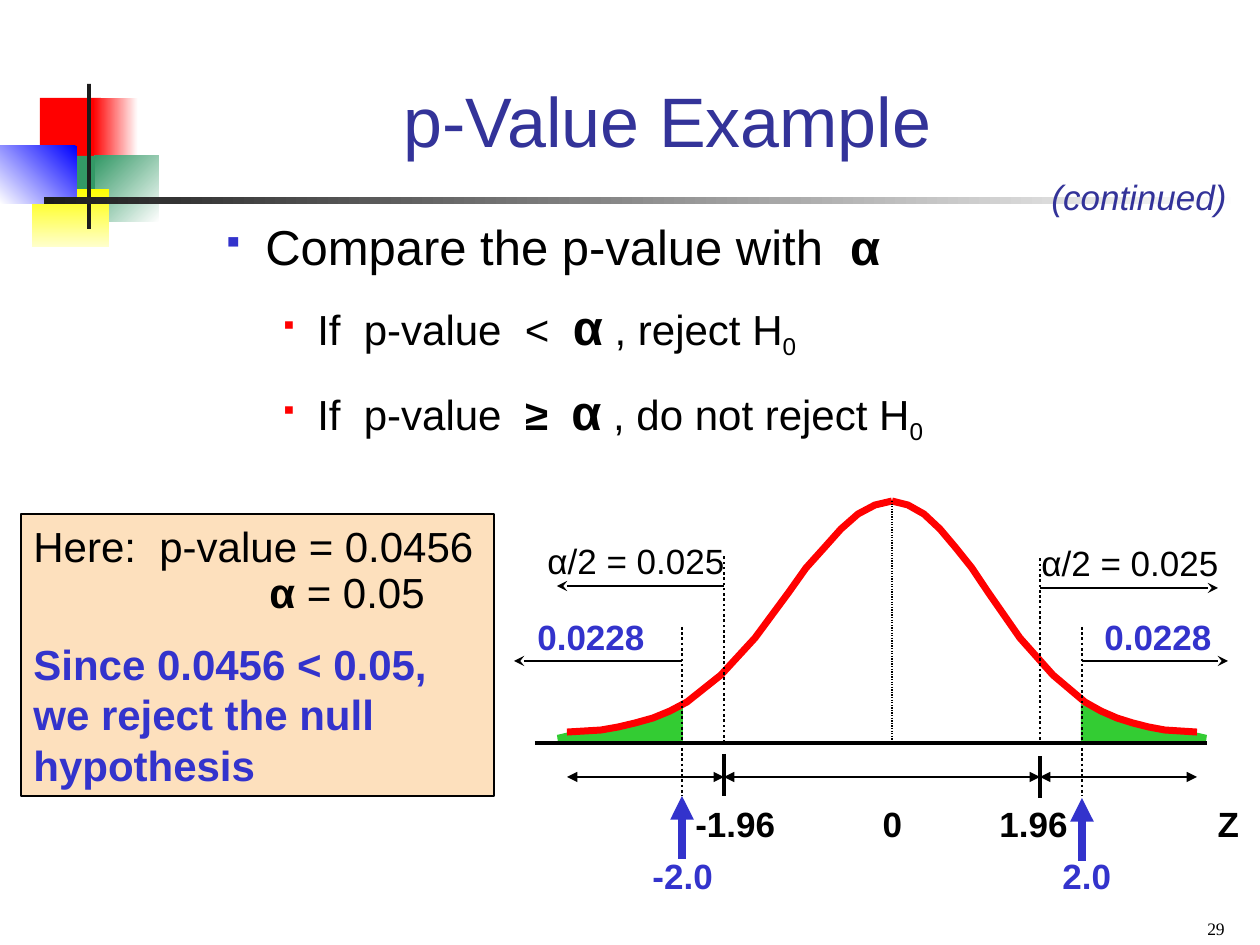
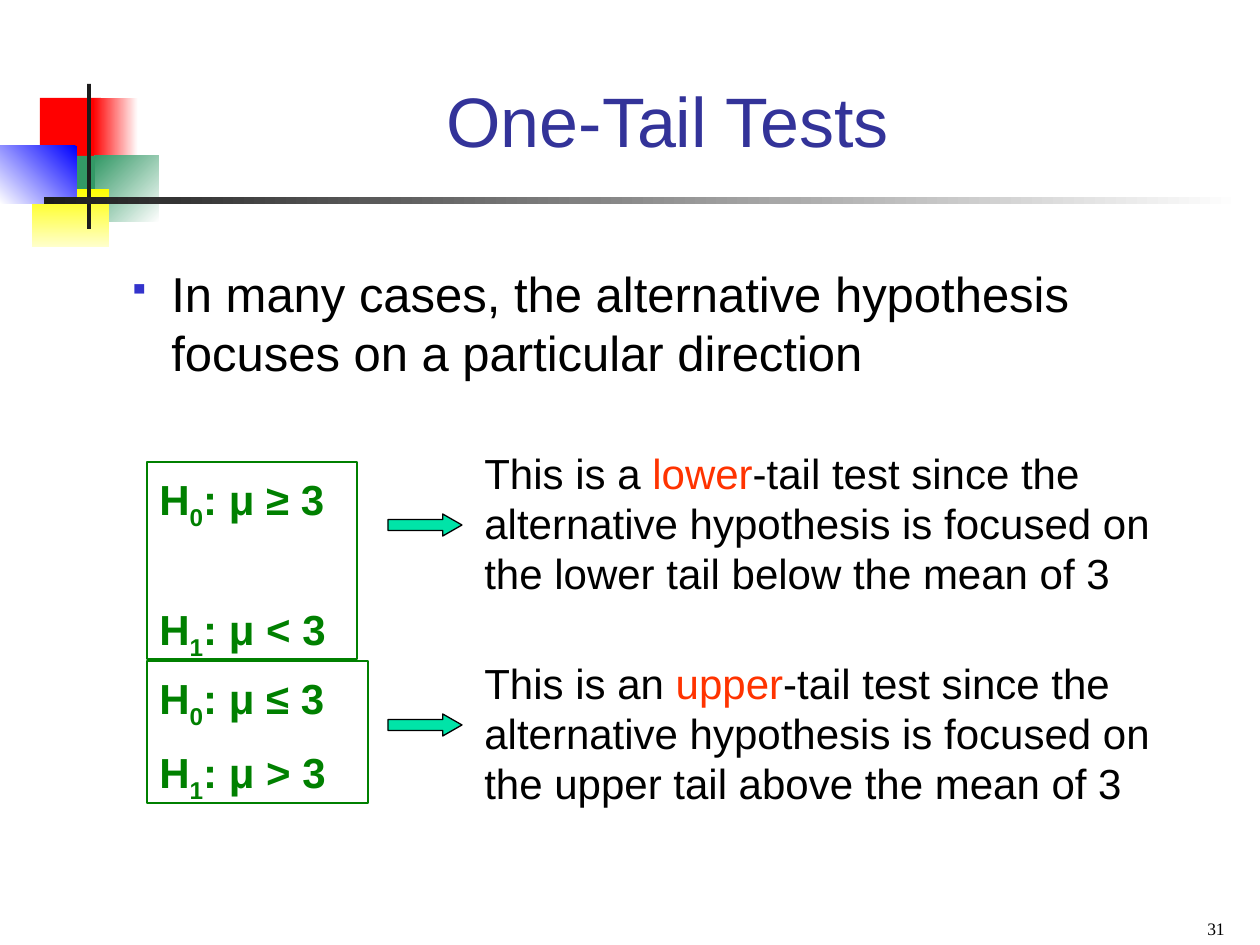
"""Build two statistics slides: a p-value example and one-tail tests."""
from lxml import etree
from pptx import Presentation
from pptx.dml.color import RGBColor
from pptx.enum.dml import MSO_LINE
from pptx.enum.shapes import MSO_CONNECTOR, MSO_SHAPE
from pptx.enum.text import MSO_ANCHOR, PP_ALIGN
from pptx.oxml.ns import qn
from pptx.util import Emu, Inches, Pt

PX = 914400 / 126
DOTTED = MSO_LINE.ROUND_DOT
STRAIGHT = MSO_CONNECTOR.STRAIGHT
RECTANGLE = MSO_SHAPE.RECTANGLE
RIGHT_ARROW = MSO_SHAPE.RIGHT_ARROW
BOTTOM = MSO_ANCHOR.BOTTOM
LEFT, CENTER, RIGHT = PP_ALIGN.LEFT, PP_ALIGN.CENTER, PP_ALIGN.RIGHT

COLORS = {
    "black": "000000", "white": "FFFFFF", "ink": "1C1C1C", "title": "333399",
    "blue": "3333CC", "red": "FF0000", "sea": "339966", "yellow": "FFFF00",
    "cream": "FFFFCC", "pure blue": "0000FF", "peach": "FDE0BD",
    "tail": "33CC33", "hypothesis": "008000", "direction": "FF3300",
    "arrow": "00E4A8",
}

ORNAMENT = [
    ((40, 98, 61, 66), ["red"], 0),
    ((93, 98, 45, 66), ["white", "red"], 180),
    ((95, 156, 64, 66), ["white", "sea"], 135),
    ((54, 156, 41, 66), ["sea"], 0),
    ((32, 189, 77, 58), ["yellow", "cream"], 270),
    ((0, 146, 77, 58), ["pure blue", "white"], 225),
    ((87, 84, 4, 145), ["ink"], 0),
    ((44, 197, 1198, 7), ["white", "ink"], 180),
]

BULLETS = [("blue", 60, 43, -43), ("red", 55, 95, -37)]

MIDDLE = 882
PEAK = 892
BASELINE = 743
CURVE = [(19, 732), (17, 730), (16, 727), (15, 723), (14, 718), (13, 711),
         (12, 702), (10, 675), (8, 638), (6, 592), (5, 568), (4, 548),
         (3, 529), (2, 514), (1, 505), (0, 501)]
TAIL = [(324, 742), (325, 735), (312, 732), (273, 731), (232, 719),
        (199, 704), (199, BASELINE), (324, BASELINE)]


def px(length):
    """Turn px into EMU."""
    return Emu(round(length * PX))


def color(name):
    """Look up a named colour."""
    return RGBColor.from_string(COLORS[name])


def add_bullet(paragraph, level):
    """Give a paragraph the square bullet of its level."""
    name, percent, margin, indent = BULLETS[level]
    paragraph.level = level
    properties = paragraph._p.get_or_add_pPr()
    properties.set("marL", str(px(margin)))
    properties.set("indent", str(px(indent)))
    tint = etree.SubElement(properties, qn("a:buClr"))
    etree.SubElement(tint, qn("a:srgbClr"), val=COLORS[name])
    etree.SubElement(properties, qn("a:buSzPct"), val=str(percent * 1000))
    etree.SubElement(properties, qn("a:buChar"), char="▪")


def write(frame, *runs, size=20, ink="black", bold=False, italic=False,
          font="Arial", align=LEFT, before=0, spacing=1.0, margin=0,
          level=None):
    """Write one paragraph of strings or (string, overrides) runs."""
    paragraph = frame.paragraphs[0]
    if paragraph.runs:
        paragraph = frame.add_paragraph()
    if level is not None:
        add_bullet(paragraph, level)
    elif margin:
        paragraph._p.get_or_add_pPr().set("marL", str(px(margin)))
    paragraph.alignment = align
    paragraph.line_spacing = spacing
    paragraph.space_before = Pt(before)
    for item in runs:
        words, changes = (item, {}) if isinstance(item, str) else item
        run = paragraph.add_run()
        run.text = words
        run.font.name = font
        run.font.size = Pt(changes.get("size", size))
        run.font.bold = changes.get("bold", bold)
        run.font.italic = italic
        run.font.color.rgb = color(changes.get("ink", ink))
        if changes.get("sub"):
            run.font._element.set("baseline", "-25000")


def add_box(slide, box, fill=None, outline=None, width=0.75):
    """Add a text box and return its text frame."""
    panel = slide.shapes.add_textbox(*map(px, box))
    if fill:
        panel.fill.solid()
        panel.fill.fore_color.rgb = color(fill)
    if outline:
        panel.line.color.rgb = color(outline)
        panel.line.width = Pt(width)
    panel.text_frame.word_wrap = True
    return panel.text_frame


def add_label(slide, box, words, **style):
    """Add a text box holding one paragraph."""
    write(add_box(slide, box), words, **style)


def add_line(slide, start, end, ink="black", width=1.5, dash=None,
             head=None, tail=None):
    """Add a straight line with optional dashes and arrowheads."""
    line = slide.shapes.add_connector(STRAIGHT, *map(px, start + end))
    line.line.color.rgb = color(ink)
    line.line.width = Pt(width)
    if dash:
        line.line.dash_style = dash
    properties = line._element.spPr
    stroke = properties.find(qn("a:ln"))
    for tag, kind in (("a:headEnd", head), ("a:tailEnd", tail)):
        if kind:
            etree.SubElement(stroke, qn(tag), type=kind)
    etree.SubElement(properties, qn("a:effectLst"))


def add_outline(slide, points, closed):
    """Add a freeform through the points, without a shadow."""
    builder = slide.shapes.build_freeform(*points[0], scale=PX)
    builder.add_line_segments(points[1:], close=closed)
    outline = builder.convert_to_shape()
    outline.shadow.inherit = False
    return outline


def add_ornament(slide):
    """Draw the coloured squares and the two bars."""
    for box, tones, angle in ORNAMENT:
        block = slide.shapes.add_shape(RECTANGLE, *map(px, box))
        block.shadow.inherit = False
        block.line.fill.background()
        if len(tones) == 1:
            block.fill.solid()
            block.fill.fore_color.rgb = color(tones[0])
            continue
        block.fill.gradient()
        block.fill.gradient_angle = angle
        for stop, tone in zip(block.fill.gradient_stops, tones):
            stop.color.rgb = color(tone)


def start_slide(deck, heading, number):
    """Add a slide with ornament, title and page number."""
    slide = deck.slides.add_slide(deck.slide_layouts[5])
    add_ornament(slide)
    title = slide.shapes.title
    title.left, title.top, title.width, title.height = map(
        px, (159, 32, 1017, 136))
    title.text_frame.vertical_anchor = BOTTOM
    write(title.text_frame, heading, size=40, ink="title", align=CENTER)
    page = add_box(slide, (942, 901, 295, 44))
    page.vertical_anchor = BOTTOM
    write(page, number, size=10, font="Times New Roman", align=RIGHT)
    return slide


def add_bell(slide):
    """Draw the shaded tails, the normal curve and its axis."""
    for side in (-1, 1):
        shade = add_outline(
            slide, [(MIDDLE + side * x, y) for x, y in TAIL], True)
        shade.fill.solid()
        shade.fill.fore_color.rgb = color("tail")
        shade.line.fill.background()
    for reach in (-325, 305):
        half = add_outline(
            slide, [(PEAK + reach * step / 19, y) for step, y in CURVE], False)
        half.fill.background()
        half.line.color.rgb = color("red")
        half.line.width = Pt(4)
    add_line(slide, (535, BASELINE), (1207, BASELINE), width=2)
    add_line(slide, (PEAK, 501), (PEAK, BASELINE), width=0.75, dash=DOTTED)
    add_line(slide, (MIDDLE - 158, 777), (MIDDLE + 158, 777),
             head="triangle", tail="triangle")


def add_tail_marks(slide, side, drop, ends, lefts, critical, statistic):
    """Mark the critical value and the test statistic of one tail."""
    cut, found = MIDDLE + side * 158, MIDDLE + side * 200
    alpha_end, p_end = ends
    alpha_left, p_left, critical_left, statistic_left = lefts
    add_line(slide, (cut, BASELINE + drop), (cut, 554 + drop), dash=DOTTED)
    add_line(slide, (found, 627), (found, 796), dash=DOTTED)
    add_line(slide, (cut, 586 + drop), (alpha_end, 586 + drop), width=1,
             tail="stealth")
    add_line(slide, (found, 661), (p_end, 661), width=1, tail="stealth")
    add_line(slide, (cut, 777), (MIDDLE + side * 315, 777),
             head="triangle", tail="triangle")
    add_line(slide, (cut, 754 + drop), (cut, 796 + drop), width=2.25)
    add_line(slide, (found, 859 + drop), (found, 796 + drop), ink="blue",
             width=4.5, tail="triangle")
    add_label(slide, (alpha_left, 533 + drop, 220, 54), "α/2 = 0.025")
    add_label(slide, (p_left, 609, 136, 54), "0.0228", ink="blue", bold=True)
    add_label(slide, (critical_left, 796, 136, 55), critical, bold=True)
    add_label(slide, (statistic_left, 848, 95, 55), statistic, ink="blue",
              bold=True)


def build_p_value(deck):
    """Build the p-value example."""
    slide = start_slide(deck, "p-Value Example", "29")
    alpha = ("α", {"size": 28, "bold": True})
    zero = ("0", {"sub": True})
    rules = add_box(slide, (210, 210, 829, 284))
    write(rules, "Compare the p-value with  ", alpha, size=28, level=0)
    write(rules, "If  p-value  <  ", alpha, " , reject H", zero, size=24,
          before=12, level=1)
    write(rules, "If  p-value  ", ("≥  ", {"bold": True}), alpha,
          " , do not reject H", zero, size=24, before=12, level=1)

    verdict = add_box(slide, (21, 514, 473, 282), "peach", "black", 1.5)
    write(verdict, "Here: \tp-value = 0.0456", size=24)
    write(verdict, ("α", {"bold": True}), " = 0.05", size=24, before=15,
          spacing=0.3, margin=236)
    write(verdict, "Since 0.0456 < 0.05, we reject the null hypothesis",
          size=24, ink="blue", bold=True, before=15)
    add_label(slide, (1039, 169, 215, 55), "(continued)", ink="title",
              italic=True)

    add_bell(slide)
    add_tail_marks(slide, -1, 0, (557, 514), (535, 525, 683, 640),
                   "-1.96", "-2.0")
    add_tail_marks(slide, 1, 2, (1218, 1228), (1029, 1092, 987, 1050),
                   "1.96", "2.0")
    for left, name in ((861, "0"), (1197, "Z")):
        add_label(slide, (left, 796, 63, 55), name, bold=True, align=CENTER)


def add_test(slide, frame_box, gap, signs, arrow_top, text_top, article,
             direction, region):
    """Add a pair of hypotheses, an arrow and the explanation."""
    hypotheses = add_box(slide, frame_box, outline="hypothesis")
    for index, (sign, before, spacing) in enumerate(
            zip(signs, (0, gap), (1.1, 0.7))):
        write(hypotheses, "H", (str(index), {"sub": True}), f": μ {sign} 3",
              size=24, ink="hypothesis", bold=True, before=before,
              spacing=spacing)
    arrow = slide.shapes.add_shape(
        RIGHT_ARROW, *map(px, (388, arrow_top, 74, 22)))
    arrow.adjustments[1] = 0.875
    arrow.shadow.inherit = False
    arrow.fill.solid()
    arrow.fill.fore_color.rgb = color("arrow")
    arrow.line.color.rgb = color("black")
    arrow.line.width = Pt(0.75)
    write(add_box(slide, (472, text_top, 720, 164)), f"This is {article} ",
          (direction, {"ink": "direction"}),
          "-tail test since the alternative hypothesis is focused on the "
          f"{direction} tail {region} the mean of 3", size=24)


def build_one_tail(deck):
    """Build the one-tail tests slide."""
    slide = start_slide(deck, "One-Tail Tests", "31")
    intro = add_box(slide, (116, 257, 1040, 152))
    write(intro, "In many cases, the alternative hypothesis focuses on a "
          "particular direction", size=28, level=0)
    add_test(slide, (147, 462, 210, 197), 47, "≥<", 514, 441,
             "a", "lower", "below")
    add_test(slide, (147, 661, 221, 142), 15, "≤>", 714, 651,
             "an", "upper", "above")


def main():
    """Build and save the deck."""
    deck = Presentation()
    deck.slide_width, deck.slide_height = Inches(10), Inches(7.5)
    build_p_value(deck)
    build_one_tail(deck)
    deck.save("out.pptx")


if __name__ == "__main__":
    main()
